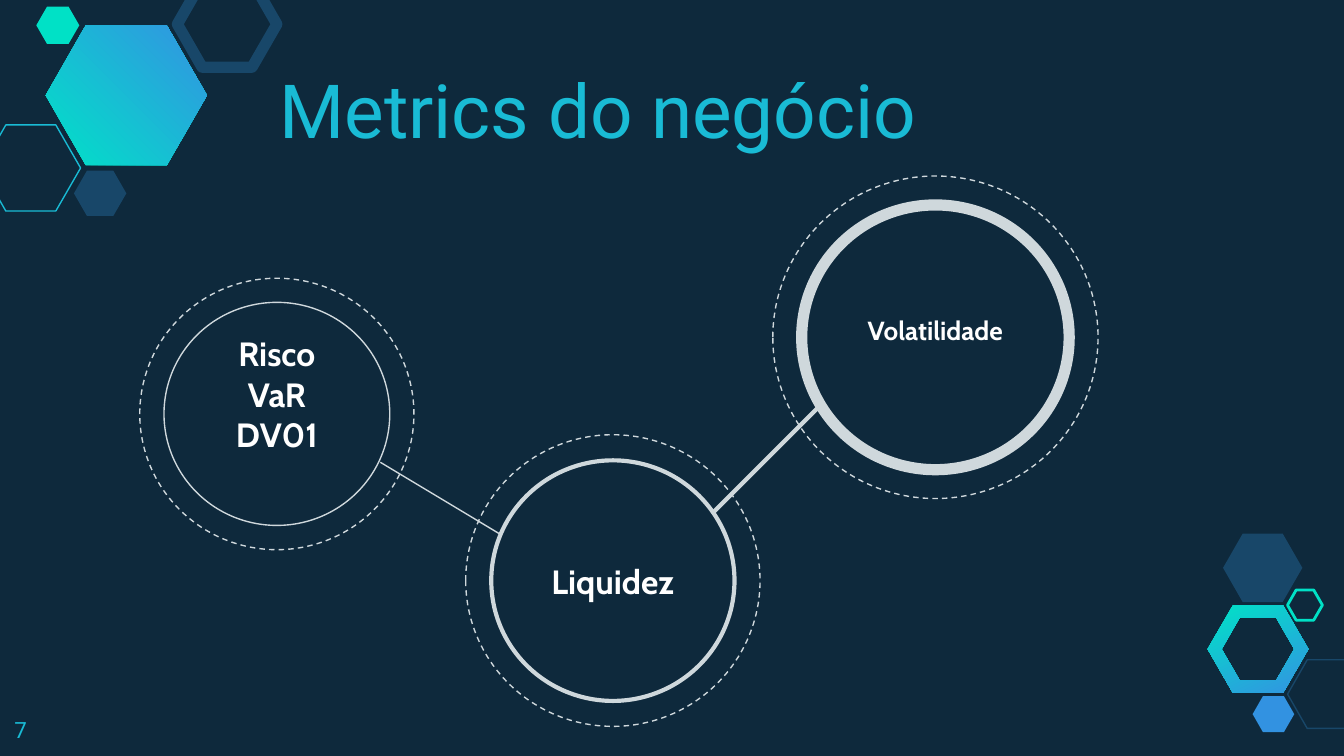
from pptx import Presentation
from pptx.dml.color import RGBColor
from pptx.enum.dml import MSO_LINE as Dash
from pptx.enum.shapes import MSO_CONNECTOR as Wire, MSO_SHAPE as Kind
from pptx.enum.text import MSO_ANCHOR as Anchor, MSO_AUTO_SIZE as Fit, PP_ALIGN as Align
from pptx.oxml.ns import qn
from pptx.util import Inches, Pt
from lxml.etree import SubElement

THEME = dict(
    back="0E293C", cyan="19BBD5", navy="184769", mint="00E1C6", blue="3292E1",
    pale="CFD8DC", white="FFFFFF", head="Roboto", body="Cabin",
    title=40, large=18, label=14, number=12, thin=0.75, mid=2.25, thick=6,
)
FADE = ("00E2C7", "3393E2")
TITLE = "Metrics do negócio"
NUMBER = "7"
RINGS = [
    dict(mid=(2.06, 3.08), size=1.68, halo=2.04, pen="thin", text="Risco\vVaR\vDV01", pad=(0, 0.3)),
    dict(mid=(4.56, 4.32), size=1.81, halo=2.19, pen="mid", text="Liquidez", pad=(0.1, 0.1)),
    dict(mid=(6.96, 2.51), size=1.99, halo=2.42, pen="thick"),
]
LABEL = ("Volatilidade", (6.31, 2.29, 1.3, 0.34))
LINKS = [((2.83, 3.44), (3.73, 3.98), "thin"), ((5.31, 3.81), (6.09, 3.03), "mid")]
SOLID = [
    (0.55, 1.27, 0.39, "navy"), (0.27, 0.05, 0.32, "mint"),
    (9.32, 5.18, 0.31, "blue"), (9.1, 3.97, 0.59, "navy"),
]
HOLLOW = [
    (-0.14, 0.93, 0.74, "cyan", 0.75), (1.32, -0.14, 0.74, "navy", 6),
    (9.58, 4.91, 0.59, "navy", 0.75), (9.58, 4.39, 0.26, "mint", 1.5),
]
GEM = (0.34, 0.19, 1.2)
BAND = dict(mid=(9.36, 4.83), outer=0.75, inner=0.54)
RATIO, SLANT = 0.866, 0.287


def tone(name):
    return RGBColor.from_string(THEME.get(name, name))


def place(shape, box):
    shape.left, shape.top, shape.width, shape.height = map(Inches, box)


def write(frame, text, size, font, color, align=Align.LEFT, bold=False):
    frame.text = text
    for para in frame.paragraphs:
        para.alignment = align
        for run in para.runs:
            face = run.font
            face.size, face.name, face.bold = Pt(THEME[size]), THEME[font], bold
            face.color.rgb = tone(color)


def draw(shapes, kind, box, line=None, width=0.75, fill=None):
    shape = shapes.add_shape(kind, *map(Inches, box))
    shape.shadow.inherit = False
    if fill:
        shape.fill.solid()
        shape.fill.fore_color.rgb = tone(fill)
    else:
        shape.fill.background()
    if line:
        shape.line.color.rgb = tone(line)
        shape.line.width = Pt(width)
    else:
        shape.line.fill.background()
    return shape


def hexa(shapes, left, top, wide, **look):
    shape = draw(shapes, Kind.HEXAGON, (left, top, wide, wide * RATIO), **look)
    shape.adjustments[0] = SLANT
    return shape


def fade(shape, angle):
    shape.fill.gradient()
    shape.fill.gradient_angle = angle
    for stop, color, spot in zip(shape.fill.gradient_stops, FADE, (0, 1)):
        stop.color.rgb, stop.position = tone(color), spot


def corners(mid, wide):
    x, y = mid
    half, tall = wide / 2, wide * RATIO / 2
    points = [(-half, 0), (-half / 2, -tall), (half / 2, -tall),
              (half, 0), (half / 2, tall), (-half / 2, tall)]
    return [(Inches(x + a), Inches(y + b)) for a, b in points]


def band(shapes):
    outer = corners(BAND["mid"], BAND["outer"])
    inner = corners(BAND["mid"], BAND["inner"])[::-1]
    pen = shapes.build_freeform(*outer[0])
    pen.add_line_segments(outer[1:], close=True)
    pen.move_to(*inner[0])
    pen.add_line_segments(inner[1:], close=True)
    shape = pen.convert_to_shape()
    shape.shadow.inherit = False
    shape.line.fill.background()
    fade(shape, 296)


def disc(shapes, mid, wide, width):
    tall = wide - 0.02
    box = (mid[0] - wide / 2, mid[1] - tall / 2, wide, tall)
    return draw(shapes, Kind.OVAL, box, line="pale", width=width)


def ring(shapes, item):
    halo = disc(shapes, item["mid"], item["halo"], THEME["thin"])
    halo.line.dash_style = Dash.DASH
    core = disc(shapes, item["mid"], item["size"], THEME[item["pen"]])
    if "text" in item:
        frame = core.text_frame
        frame.vertical_anchor = Anchor.MIDDLE
        frame.margin_top, frame.margin_bottom = map(Inches, item["pad"])
        write(frame, item["text"], "large", "body", "white", Align.CENTER, True)


def link(shapes, start, end, pen):
    wire = shapes.add_connector(Wire.STRAIGHT, *map(Inches, start + end))
    wire.line.color.rgb = tone("pale")
    wire.line.width = Pt(THEME[pen])
    SubElement(wire._element.spPr, qn("a:effectLst"))


def main():
    """Build the business metrics slide."""
    deck = Presentation()
    deck.slide_width = Inches(10)
    deck.slide_height = deck.slide_width * 9 // 16
    slide = deck.slides.add_slide(deck.slide_layouts[5])
    slide.background.fill.solid()
    slide.background.fill.fore_color.rgb = tone("back")
    shapes = slide.shapes

    band(shapes)
    fade(hexa(shapes, *GEM), 45)
    for *spot, color, width in HOLLOW:
        hexa(shapes, *spot, line=color, width=width)
    for *spot, color in SOLID:
        hexa(shapes, *spot, fill=color)

    title = shapes.title
    place(title, (1.98, 0.53, 5.41, 0.71))
    frame = title.text_frame
    frame.auto_size, frame.vertical_anchor = Fit.NONE, Anchor.BOTTOM
    frame.margin_top = frame.margin_bottom = Inches(0.1)
    write(frame, TITLE, "title", "head", "cyan")

    page = shapes.add_textbox(*map(Inches, (0.01, 5.23, 0.6, 0.39))).text_frame
    page.margin_top = Inches(0.1)
    write(page, NUMBER, "number", "head", "cyan")

    for item in RINGS:
        ring(shapes, item)
    for start, end, pen in LINKS:
        link(shapes, start, end, pen)
    text, box = LABEL
    note = shapes.add_textbox(*map(Inches, box)).text_frame
    note.word_wrap = False
    write(note, text, "label", "body", "white", Align.CENTER, True)
    deck.save("out.pptx")


if __name__ == "__main__":
    main()
